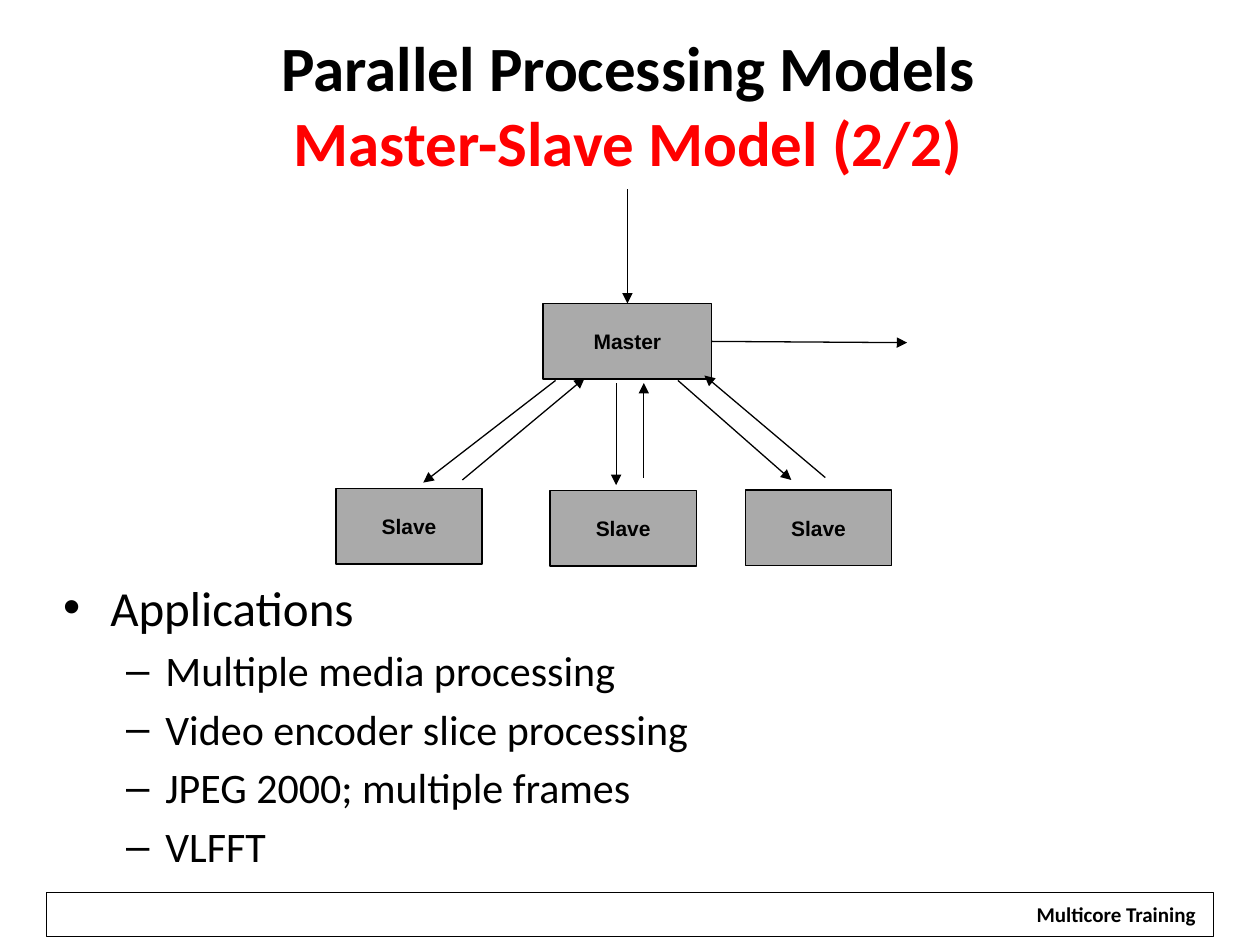
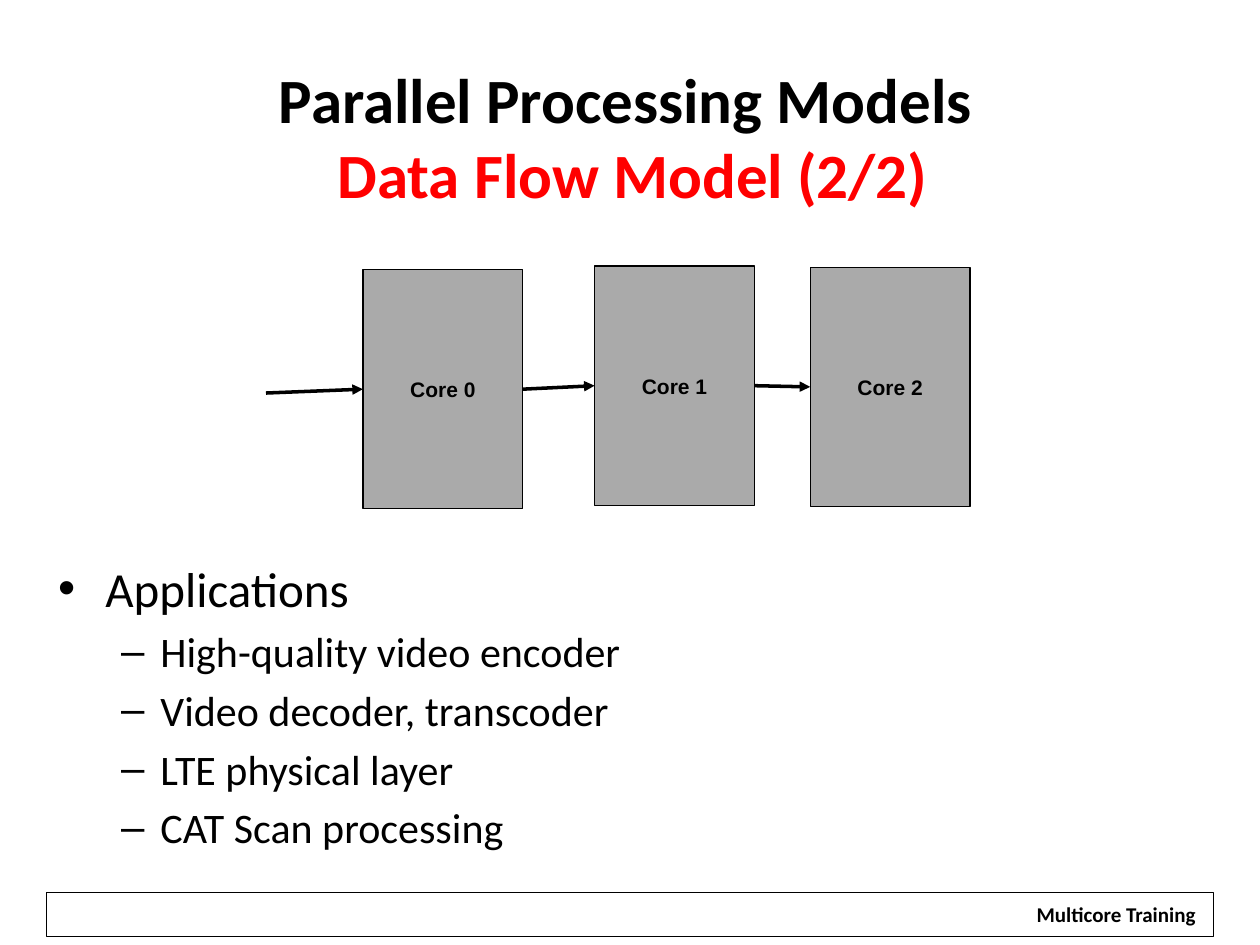
import pptx
import pptx.dml.color
import pptx.enum.shapes
import pptx.enum.text
import pptx.oxml
import pptx.oxml.ns
import pptx.util
from lxml import etree

Pt = pptx.util.Pt
RGBColor = pptx.dml.color.RGBColor
RECTANGLE = pptx.enum.shapes.MSO_SHAPE.RECTANGLE
STRAIGHT = pptx.enum.shapes.MSO_CONNECTOR.STRAIGHT
CENTER = pptx.enum.text.PP_ALIGN.CENTER
MIDDLE = pptx.enum.text.MSO_ANCHOR.MIDDLE
TOP_ANCHOR = pptx.enum.text.MSO_ANCHOR.TOP
NO_AUTOFIT = pptx.enum.text.MSO_AUTO_SIZE.NONE

# Shared colours and formats
BLACK = RGBColor(0x00, 0x00, 0x00)
RED = RGBColor(0xFF, 0x00, 0x00)
WHITE = RGBColor(0xFF, 0xFF, 0xFF)
GRAY = RGBColor(0xAA, 0xAA, 0xAA)

TITLE_FONT = {"name": "Calibri", "size": Pt(36), "bold": True}
FOOTER_FONT = {"name": "Calibri", "size": Pt(12), "bold": True}
NODE_FONT = {"name": "Arial", "size": Pt(12), "bold": True}
LIST_FONTS = [
    {"name": "Calibri", "size": Pt(28), "bold": False},
    {"name": "Calibri", "size": Pt(24), "bold": False},
]
TITLE_LINE = 44
TOP, LEFT, BOTTOM, RIGHT = range(4)


def format_font(font, values, color=BLACK):
    for name, value in values.items():
        setattr(font, name, value)
    font.color.rgb = color


def place(shape, box):
    for name, value in zip(("left", "top", "width", "height"), box):
        setattr(shape, name, Pt(value))


def add_rectangle(slide, box, fill=None, outline=True, text="", font=NODE_FONT):
    shape = slide.shapes.add_shape(RECTANGLE, *map(Pt, box))
    shape.shadow.inherit = False
    if fill is None:
        shape.fill.background()
    else:
        shape.fill.solid()
        shape.fill.fore_color.rgb = fill
    if outline:
        shape.line.color.rgb = BLACK
        shape.line.width = Pt(0.75)
    else:
        shape.line.fill.background()
    if text:
        frame = shape.text_frame
        frame.word_wrap = False
        frame.vertical_anchor = MIDDLE
        paragraph = frame.paragraphs[0]
        paragraph.text = text
        paragraph.alignment = CENTER
        format_font(paragraph.font, font)
    return shape


def add_arrow(slide, start, end, width, source=None, target=None):
    """Draw an arrow; source and target are (shape, side) pairs to join."""
    arrow = slide.shapes.add_connector(STRAIGHT, *map(Pt, start + end))
    if source:
        arrow.begin_connect(*source)
    if target:
        arrow.end_connect(*target)
    arrow.line.color.rgb = BLACK
    arrow.line.width = Pt(width)
    properties = arrow.element.spPr
    qn = pptx.oxml.ns.qn
    etree.SubElement(properties.find(qn("a:ln")), qn("a:tailEnd"), type="triangle")
    etree.SubElement(properties, qn("a:effectLst"))


def add_footer(slide, box):
    left, top, width, height = box
    add_rectangle(slide, box)
    label_box = (left + width - 108.8, top + 2, 106.6, height - 4)
    add_rectangle(slide, label_box, WHITE, False, "Multicore Training", FOOTER_FONT)


def fill_title(slide, box, model, lines_below=0):
    title = slide.shapes.title
    place(title, box)
    frame = title.text_frame
    for name, value in {"auto_size": NO_AUTOFIT, "vertical_anchor": MIDDLE,
                        "margin_bottom": Pt(3.6 + lines_below * TITLE_LINE)}.items():
        setattr(frame, name, value)
    paragraph = frame.paragraphs[0]
    paragraph.alignment = CENTER
    for text, color in (("Parallel Processing Models", BLACK), (model, RED)):
        if paragraph.runs:
            paragraph.add_line_break()
        run = paragraph.add_run()
        run.text = text
        format_font(run.font, TITLE_FONT, color)


def fill_applications(slide, box, applications):
    body = slide.placeholders[1]
    place(body, box)
    frame = body.text_frame
    frame.auto_size = NO_AUTOFIT
    frame.vertical_anchor = TOP_ANCHOR
    for index, text in enumerate(["Applications"] + applications):
        paragraph = frame.add_paragraph() if index else frame.paragraphs[0]
        paragraph.text = text
        paragraph.level = min(index, 1)
        format_font(paragraph.font, LIST_FONTS[paragraph.level])
    frame.paragraphs[0].space_before = Pt(0)


def add_master_slave_diagram(slide, left, top):
    def at(x, y):
        return left + x, top + y

    master = add_rectangle(slide, at(118.3, 65.5) + (96.5, 43.2), GRAY, text="Master")
    for x, y in ((0, 171.2), (122.4, 172.2), (234, 172)):
        add_rectangle(slide, at(x, y) + (83.5, 43.2), GRAY, text="Slave")

    # Input and output of the master
    add_arrow(slide, at(166.55, 0), at(166.55, 65.5), 0.75, target=(master, TOP))
    add_arrow(slide, at(214.8, 87.1), at(326.4, 87.8), 0.75, source=(master, RIGHT))

    # Requests to the slaves and replies to the master
    requests = [((125.5, 109.4), (49.9, 167.8)), ((160.1, 110.9), (160.1, 169.2)),
                ((195.4, 109.4), (260.2, 166.3))]
    replies = [((72.2, 166.3), (142.1, 108)), ((175.9, 164.9), (175.9, 110.9)),
               ((279.6, 164.9), (210.5, 106.6))]
    for start, end in requests + replies:
        add_arrow(slide, at(*start), at(*end), 0.75)


def add_data_flow_diagram(slide, left, top):
    previous = None
    start = (left, top + 72.6)
    for number, (x, y) in enumerate(((55.4, 2), (187.8, 0), (311, 0.7))):
        box = (left + x, top + y, 91.4, 136.8)
        core = add_rectangle(slide, box, GRAY, text=f"Core {number}")
        middle = top + y + 68.4
        add_arrow(slide, start, (left + x, middle), 2,
                  source=previous and (previous, RIGHT), target=(core, LEFT))
        previous = core
        start = (left + x + 91.4, middle)


def add_model_slide(presentation):
    slide = presentation.slides.add_slide(presentation.slide_layouts[1])
    add_footer(slide, (26.6, 510, 666.7, 25))
    return slide


def main():
    presentation = pptx.Presentation()
    presentation.slide_width = Pt(720)
    presentation.slide_height = Pt(540)

    # Master-slave model
    slide = add_model_slide(presentation)
    fill_title(slide, (26, 23, 666, 116.6), "Master-Slave Model (2/2)", lines_below=1)
    fill_applications(slide, (28.8, 326.2, 666.7, 179.3), [
        "Multiple media processing", "Video encoder slice processing",
        "JPEG 2000; multiple frames", "VLFFT"])
    add_master_slave_diagram(slide, 192, 108)

    # Data flow model
    slide = add_model_slide(presentation)
    fill_title(slide, (24.5, 21, 666, 113), " Data Flow Model (2/2)")
    fill_applications(slide, (26, 315.4, 666.7, 188.6), [
        "High-quality video encoder", "Video decoder, transcoder",
        "LTE physical layer", "CAT Scan processing"])
    add_data_flow_diagram(slide, 152, 152)

    presentation.save("out.pptx")


if __name__ == "__main__":
    main()
